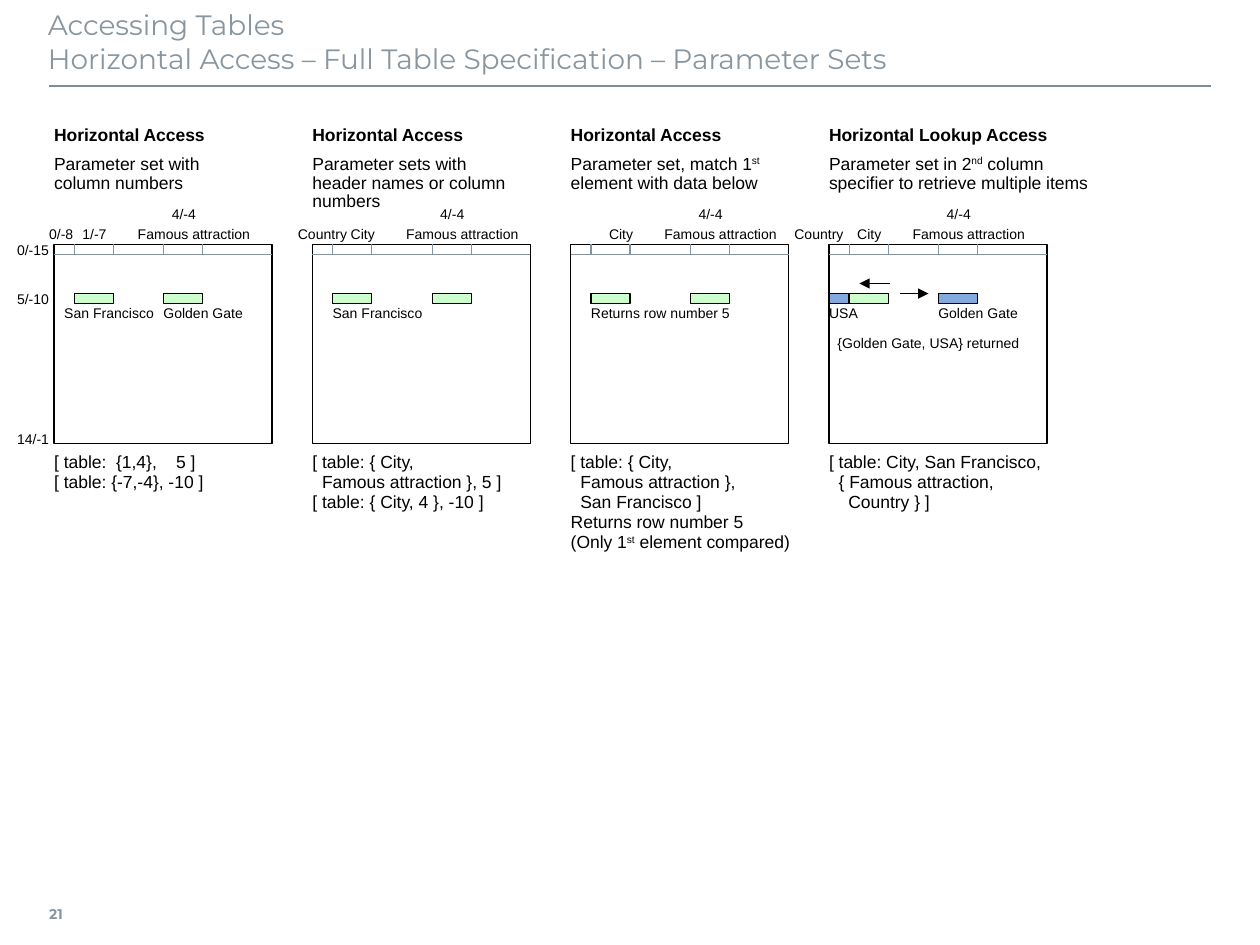
from lxml.etree import SubElement
from pptx import Presentation
from pptx.dml.color import RGBColor
from pptx.enum.shapes import MSO_CONNECTOR, MSO_SHAPE
from pptx.enum.text import MSO_ANCHOR, MSO_AUTO_SIZE, PP_ALIGN
from pptx.oxml.ns import qn
from pptx.util import Inches, Pt

BLACK, GREY, RULE, GRID = "000000", "8996A0", "808D97", "85939D"
GREEN, BLUE = "CCFFCC", "83AADE"
LEFT, CENTER, RIGHT = PP_ALIGN.LEFT, PP_ALIGN.CENTER, PP_ALIGN.RIGHT
SHIFT = {LEFT: 0, CENTER: 0.5, RIGHT: 1}
FIRST_PANEL, PANEL_STEP = 0.43, 2.05
TABLE_TOP, TABLE_WIDTH, TABLE_HEIGHT = 1.94, 1.73, 1.58
HEADER_BOTTOM, ROW_TOP, CELL_WIDTH, CELL_HEIGHT = 2.02, 2.33, 0.31, 0.08
CITY_OFFSET, LABEL_HEIGHT = 0.16, 0.16

PANELS = [
    {
        "heading": "Horizontal Access",
        "summary": ["Parameter set with", "column numbers"],
        "code": ["[ table:  {1,4},    5 ]", "[ table: {-7,-4}, -10 ]"],
        "attraction": 0.87,
        "cell": GREEN,
        "headers": [("1/-7", 0.32, CENTER), ("0/-8", -0.08, LEFT)],
        "captions": [("San Francisco", 0.08, LEFT), ("Golden Gate", 1.5, RIGHT)],
    },
    {
        "heading": "Horizontal Access",
        "summary": ["Parameter sets with", "header names or column", "numbers"],
        "code": ["[ table: { City,", "  Famous attraction }, 5 ]", "[ table: { City, 4 }, -10 ]"],
        "attraction": 0.95,
        "cell": GREEN,
        "headers": [("City", 0.4, CENTER), ("Country", 0.08, CENTER)],
        "captions": [("San Francisco", 0.16, LEFT)],
    },
    {
        "heading": "Horizontal Access",
        "summary": ["Parameter set, match 1^st", "element with data below"],
        "code": ["[ table: { City,", "  Famous attraction },", "  San Francisco ]",
                 "Returns row number 5", "(Only 1^st^ element compared)"],
        "attraction": 0.95,
        "cell": GREEN,
        "headers": [("City", 0.4, CENTER)],
        "captions": [("Returns row number 5", 0.16, LEFT)],
    },
    {
        "heading": "Horizontal Lookup Access",
        "summary": ["Parameter set in 2^nd^ column", "specifier to retrieve multiple items"],
        "code": ["[ table: City, San Francisco,", "  { Famous attraction,", "    Country } ]"],
        "attraction": 0.87,
        "cell": BLUE,
        "headers": [("City", 0.32, CENTER), ("Country", -0.08, CENTER)],
        "captions": [("USA", 0, LEFT), ("Golden Gate", 1.5, RIGHT)],
    },
]


def color(value):
    """Turn a hex string into a colour."""
    return RGBColor.from_string(value)


def style_font(font, size, name="Arial", ink=BLACK, bold=False):
    """Set the face, size, colour and weight of a font."""
    font.name, font.size, font.bold = name, Pt(size), bold
    font.color.rgb = color(ink)


def set_margins(frame, left, top, right, bottom):
    """Set the four inner margins of a text frame."""
    frame.margin_left, frame.margin_top = Inches(left), Inches(top)
    frame.margin_right, frame.margin_bottom = Inches(right), Inches(bottom)


def add_text(page, lines, at, top, width, height, size=8, align=LEFT, spacing=None,
             margins=(0, 0, 0, 0), anchor=MSO_ANCHOR.MIDDLE, **face):
    """Add text aligned on the position at; parts between carets are superscript."""
    left = at - SHIFT[align] * width
    box = page.shapes.add_textbox(Inches(left), Inches(top), Inches(width), Inches(height))
    frame = box.text_frame
    frame.word_wrap = False
    frame.vertical_anchor = anchor
    set_margins(frame, *margins)
    for index, line in enumerate(lines):
        para = frame.paragraphs[0] if index == 0 else frame.add_paragraph()
        para.alignment, para.line_spacing = align, spacing
        for part, words in enumerate(line.split("^")):
            if words:
                span = para.add_run()
                span.text = words
                style_font(span.font, size, **face)
                if part % 2:
                    span._r.get_or_add_rPr().set("baseline", "30000")


def add_label(page, words, at, top, align=CENTER, width=0.6):
    """Add a small row or column label."""
    add_text(page, [words], at, top, width, LABEL_HEIGHT, align=align,
             margins=(0.04, 0, 0.04, 0))


def add_caption(page, words, at, top, align=LEFT, width=1.2):
    """Add a caption inside a table."""
    add_text(page, [words], at, top, width, LABEL_HEIGHT, align=align, spacing=0.95)


def add_box(page, left, top, width, height, fill=None):
    """Add a thinly outlined rectangle."""
    box = page.shapes.add_shape(
        MSO_SHAPE.RECTANGLE, Inches(left), Inches(top), Inches(width), Inches(height))
    box.shadow.inherit = False
    if fill:
        box.fill.solid()
        box.fill.fore_color.rgb = color(fill)
    else:
        box.fill.background()
    box.line.color.rgb = color(BLACK)
    box.line.width = Pt(0.75)


def add_line(page, start, end, ink=GRID, weight=0.75, arrow=False):
    """Add a straight line, with an arrowhead at its end if asked."""
    line = page.shapes.add_connector(
        MSO_CONNECTOR.STRAIGHT, *(Inches(value) for value in start + end))
    line.line.color.rgb = color(ink)
    line.line.width = Pt(weight)
    if arrow:
        SubElement(line.line._get_or_add_ln(), qn("a:tailEnd"), type="triangle")
    SubElement(line._element.spPr, qn("a:effectLst"))


def add_title(page, lines):
    """Place and fill the title, one line break between its lines."""
    title = page.shapes.title
    title.left, title.top = Inches(0.38), Inches(0.01)
    title.width, title.height = Inches(9.21), Inches(0.63)
    frame = title.text_frame
    frame.auto_size = MSO_AUTO_SIZE.NONE
    frame.word_wrap = True
    frame.vertical_anchor = MSO_ANCHOR.TOP
    set_margins(frame, 0, 0.05, 0.1, 0.05)
    para = frame.paragraphs[0]
    para.alignment = LEFT
    for index, line in enumerate(lines):
        if index:
            para.add_line_break()
        span = para.add_run()
        span.text = line
        style_font(span.font, 16, "Montserrat", GREY)


def add_panel(page, panel, left):
    """Add one access example: heading, table sketch and code."""
    attraction = left + panel["attraction"]
    city = left + CITY_OFFSET
    add_text(page, [panel["heading"]], left, 0.99, 1.9, 0.16, size=10, bold=True)
    add_text(page, panel["summary"], left, 1.23, 2.2, 0.39, size=10, spacing=0.9,
             anchor=MSO_ANCHOR.TOP)
    add_text(page, panel["code"], left, 3.59, 1.9, 0.55, size=10, spacing=0.95,
             anchor=MSO_ANCHOR.TOP)
    add_box(page, left, TABLE_TOP, TABLE_WIDTH, TABLE_HEIGHT)
    add_line(page, (left, HEADER_BOTTOM), (left + TABLE_WIDTH, HEADER_BOTTOM))
    for start, fill in ((city, GREEN), (attraction, panel["cell"])):
        add_box(page, start, ROW_TOP, CELL_WIDTH, CELL_HEIGHT, fill)
        for edge in (start, start + CELL_WIDTH):
            add_line(page, (edge, TABLE_TOP), (edge, HEADER_BOTTOM))
    add_label(page, "4/-4", attraction + 0.16, 1.62)
    add_label(page, "Famous attraction", attraction + 0.24, 1.78, width=1.1)
    for words, offset, align in panel["headers"]:
        add_label(page, words, left + offset, 1.78, align)
    for words, offset, align in panel["captions"]:
        add_caption(page, words, left + offset, 2.41, align)


def add_lookup(page, left):
    """Add the country cell, the arrows and the result of the lookup."""
    add_box(page, left, ROW_TOP, CITY_OFFSET, CELL_HEIGHT, BLUE)
    add_line(page, (left + 0.48, 2.25), (left + 0.24, 2.25), BLACK, arrow=True)
    add_line(page, (left + 0.56, 2.33), (left + 0.79, 2.33), BLACK, arrow=True)
    add_caption(page, "{Golden Gate, USA} returned", left + 0.79, 2.65, CENTER, 1.6)


def main():
    """Build the slide and save it."""
    deck = Presentation()
    deck.slide_width, deck.slide_height = Inches(10), Inches(7.5)
    page = deck.slides.add_slide(deck.slide_layouts[5])
    add_title(page, ["Accessing Tables",
                     "Horizontal Access – Full Table Specification – Parameter Sets"])
    add_line(page, (0.39, 0.68), (9.61, 0.68), RULE, 1)
    add_text(page, ["21"], 0.39, 7.06, 0.35, 0.39, margins=(0, 0.05, 0.08, 0.05),
             name="Montserrat", ink=GREY, bold=True)
    for index, panel in enumerate(PANELS):
        add_panel(page, panel, FIRST_PANEL + index * PANEL_STEP)
    for words, top in (("0/-15", 1.9), ("5/-10", 2.29), ("14/-1", 3.4)):
        add_label(page, words, 0.43, top, RIGHT, 0.4)
    add_lookup(page, FIRST_PANEL + 3 * PANEL_STEP)
    deck.save("out.pptx")


if __name__ == "__main__":
    main()
